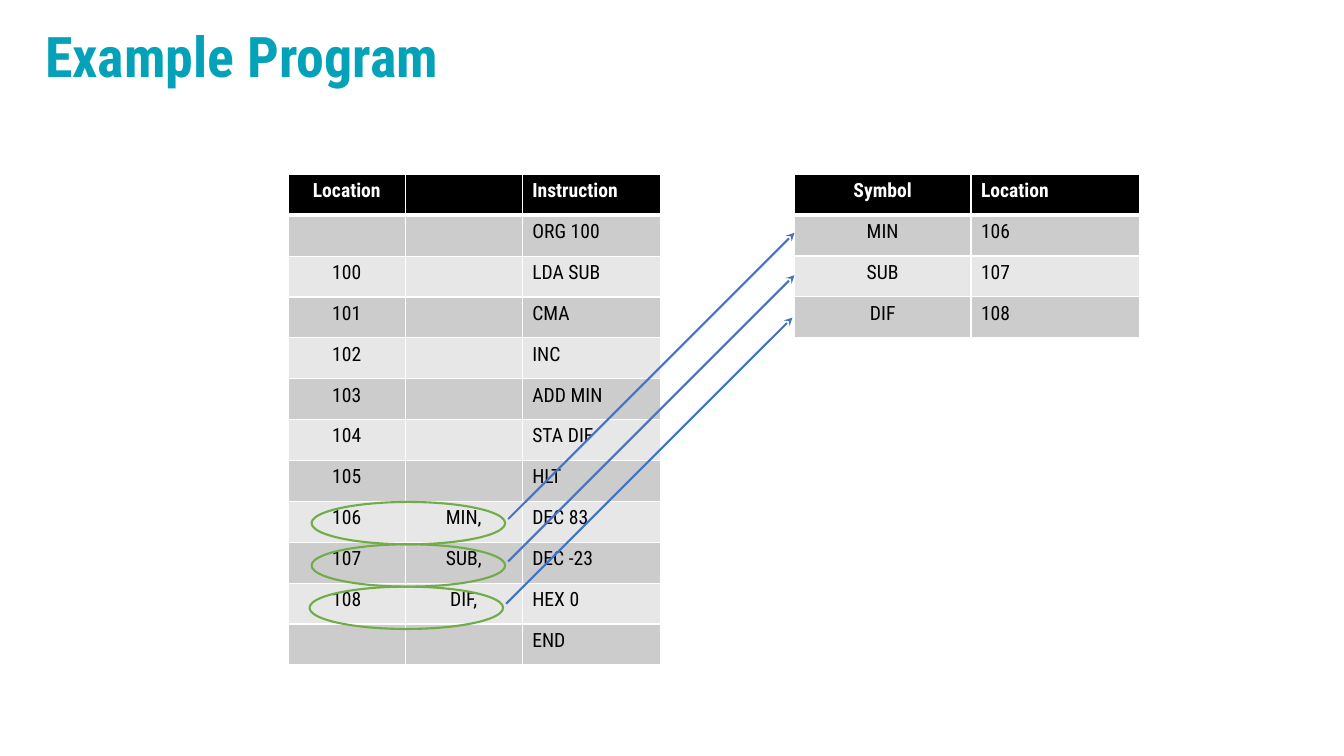
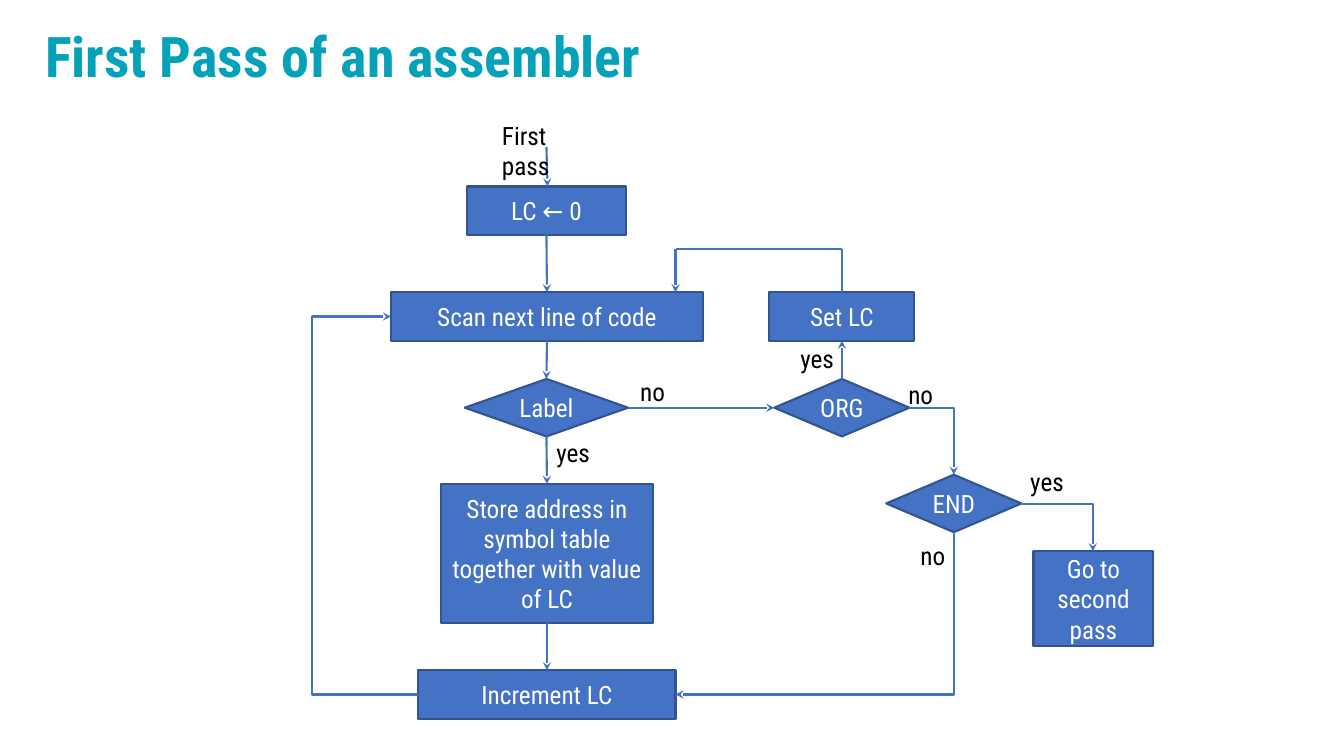
from typing import NamedTuple

from lxml import etree
from pptx import Presentation
from pptx.dml.color import RGBColor
from pptx.enum.shapes import MSO_CONNECTOR, MSO_SHAPE
from pptx.enum.text import MSO_ANCHOR, PP_ALIGN
from pptx.oxml.ns import qn
from pptx.util import Emu, Pt

RECT = MSO_SHAPE.RECTANGLE
DECISION = MSO_SHAPE.FLOWCHART_DECISION
OVAL = MSO_SHAPE.OVAL
STRAIGHT = MSO_CONNECTOR.STRAIGHT
ELBOW = MSO_CONNECTOR.ELBOW
LEFT = PP_ALIGN.LEFT
CENTER = PP_ALIGN.CENTER
TOP = MSO_ANCHOR.TOP
MIDDLE = MSO_ANCHOR.MIDDLE

TEAL = RGBColor(0x04, 0xA2, 0xB9)
BLUE = RGBColor(0x44, 0x72, 0xC4)
NAVY = RGBColor(0x32, 0x54, 0x91)
GREEN = RGBColor(0x70, 0xAD, 0x47)
BLACK = RGBColor(0, 0, 0)
WHITE = RGBColor(0xFF, 0xFF, 0xFF)
BANDS = RGBColor(0xCC, 0xCC, 0xCC), RGBColor(0xE7, 0xE7, 0xE7)

FONT = "Roboto Condensed"
EMU_PER_PX = 9144
LINE_WIDTH = Pt(1.5)
SITE_TOP, SITE_LEFT, SITE_BOTTOM, SITE_RIGHT = range(4)


class Box(NamedTuple):
    left: int
    top: int
    width: int
    height: int


class Point(NamedTuple):
    x: int
    y: int


class Step(NamedTuple):
    text: str
    box: Box
    outline: int = RECT


class Flow(NamedTuple):
    source: str
    source_site: int
    target: str
    target_site: int


class Bend(NamedTuple):
    start: Point
    end: Point
    preset: str = "bentConnector2"
    quarter_turn: bool = False
    adjust: int | None = None


class Label(NamedTuple):
    text: str
    box: Box
    wrap: bool = False


PROGRAM = [
    ("Location", "", "Instruction"),
    ("", "", "ORG 100"),
    ("100", "", "LDA SUB"),
    ("101", "", "CMA"),
    ("102", "", "INC"),
    ("103", "", "ADD MIN"),
    ("104", "", "STA DIF"),
    ("105", "", "HLT"),
    ("106", "MIN,", "DEC 83"),
    ("107", "SUB,", "DEC -23"),
    ("108", "DIF,", "HEX 0"),
    ("", "", "END"),
]
SYMBOLS = [
    ("Symbol", "Location"),
    ("MIN", "106"),
    ("SUB", "107"),
    ("DIF", "108"),
]
SYMBOL_PITCH = 42
SYMBOL_SHIFTS = (0, 0, -2)

STEPS = [
    Step("LC ← 0", Box(463, 185, 158, 48)),
    Step("Scan next line of code", Box(388, 290, 309, 48)),
    Step("Label", Box(461, 376, 162, 57), DECISION),
    Step("Store address in symbol table together with value of LC", Box(437, 480, 211, 138)),
    Step("Increment LC", Box(415, 665, 255, 48)),
    Step("Set LC", Box(763, 290, 144, 48)),
    Step("ORG", Box(768, 376, 134, 57), DECISION),
    Step("END", Box(879, 471, 134, 57), DECISION),
    Step("Go to second pass", Box(1025, 547, 119, 94)),
]
MAIN_COLUMN = [step.text for step in STEPS[:5]]
FLOWS = [
    *(Flow(a, SITE_BOTTOM, b, SITE_TOP) for a, b in zip(MAIN_COLUMN, MAIN_COLUMN[1:])),
    Flow("Label", SITE_RIGHT, "ORG", SITE_LEFT),
    Flow("ORG", SITE_TOP, "Set LC", SITE_BOTTOM),
]
BENDS = [
    Bend(Point(902, 405), Point(946, 471)),
    Bend(Point(1013, 500), Point(1084, 547)),
    Bend(Point(946, 528), Point(670, 689), quarter_turn=True),
    Bend(Point(415, 689), Point(388, 314), "bentConnector3", adjust=391700),
]
ENTRY = [Point(542, 146), Point(543, 185)]
RESCAN = [Point(835, 290), Point(835, 247), Point(670, 247), Point(670, 290)]
LABELS = [
    Label("First pass", Box(488, 114, 111, 40), wrap=True),
    Label("no", Box(625, 368, 45, 40)),
    Label("no", Box(891, 371, 45, 40)),
    Label("no", Box(903, 531, 45, 40)),
    Label("yes", Box(542, 429, 54, 40)),
    Label("yes", Box(784, 336, 54, 40)),
    Label("yes", Box(1012, 458, 54, 40)),
]


def px(value: float) -> Emu:
    return Emu(round(value * EMU_PER_PX))


def emu(lengths: tuple) -> list[Emu]:
    return [px(length) for length in lengths]


def write(frame, text: str, *, size: int = 18, color: RGBColor = BLACK, bold: bool = False,
          align: int = LEFT, anchor: int = TOP, wrap: bool = True,
          spacing: float | None = None) -> None:
    frame.word_wrap = wrap
    frame.vertical_anchor = anchor
    paragraph = frame.paragraphs[0]
    paragraph.alignment = align
    paragraph.line_spacing = spacing
    run = paragraph.add_run()
    run.text = text
    run.font.name = FONT
    run.font.size = Pt(size)
    run.font.bold = bold
    run.font.color.rgb = color


def add_titled_slide(deck, title: str):
    slide = deck.slides.add_slide(deck.slide_layouts[6])
    heading = slide.shapes.add_textbox(*emu(Box(35, 14, 1010, 89)))
    write(heading.text_frame, title, size=40, color=TEAL, bold=True, anchor=MIDDLE, spacing=0.9)
    return slide


def set_borders(cell, top: int, bottom: int) -> None:
    properties = cell._tc.get_or_add_tcPr()
    for side, points in (("L", 1), ("R", 1), ("T", top), ("B", bottom)):
        border = etree.SubElement(properties, qn(f"a:ln{side}"), w=str(Pt(points)))
        fill = etree.SubElement(border, qn("a:solidFill"))
        etree.SubElement(fill, qn("a:srgbClr"), val=str(WHITE))


def add_grid(slide, rows: list[tuple], box: Box, widths: tuple) -> None:
    table = slide.shapes.add_table(len(rows), len(widths), *emu(box)).table
    for column, width in zip(table.columns, widths):
        column.width = px(width)
    for r, row in enumerate(rows):
        header = r == 0
        for c, text in enumerate(row):
            cell = table.cell(r, c)
            set_borders(cell, top=3 if r == 1 else 1, bottom=3 if header else 1)
            cell.fill.solid()
            cell.fill.fore_color.rgb = BLACK if header else BANDS[(r - 1) % 2]
            write(cell.text_frame, text, size=14, bold=header,
                  color=WHITE if header else BLACK,
                  align=LEFT if c == len(row) - 1 else CENTER)


def add_outline(slide, outline: int, box: Box, line: RGBColor, fill: RGBColor | None = None):
    shape = slide.shapes.add_shape(outline, *emu(box))
    shape.shadow.inherit = False
    if fill is None:
        shape.fill.background()
    else:
        shape.fill.solid()
        shape.fill.fore_color.rgb = fill
    shape.line.color.rgb = line
    shape.line.width = LINE_WIDTH
    return shape


def add_line(slide, start: Point, end: Point, *, kind: int = STRAIGHT, arrow: bool = True):
    line = slide.shapes.add_connector(kind, *emu(start), *emu(end))
    line.line.color.rgb = BLUE
    line.line.width = LINE_WIDTH
    if arrow:
        etree.SubElement(line.line._get_or_add_ln(), qn("a:tailEnd"), type="stealth")
    etree.SubElement(line._element.spPr, qn("a:effectLst"))
    return line


def add_bend(slide, bend: Bend) -> None:
    start, end = bend.start, bend.end
    if bend.quarter_turn:
        middle_x, middle_y = (start.x + end.x) / 2, (start.y + end.y) / 2
        half_width, half_height = abs(end.y - start.y) / 2, abs(end.x - start.x) / 2
        start = Point(middle_x - half_width, middle_y - half_height)
        end = Point(middle_x + half_width, middle_y + half_height)
    line = add_line(slide, start, end, kind=ELBOW)
    properties = line._element.spPr
    if bend.quarter_turn:
        properties.find(qn("a:xfrm")).set("rot", str(90 * 60000))
    geometry = properties.find(qn("a:prstGeom"))
    geometry.set("prst", bend.preset)
    if bend.adjust is not None:
        etree.SubElement(geometry.find(qn("a:avLst")), qn("a:gd"),
                         name="adj1", fmla=f"val {bend.adjust}")


def add_route(slide, points: list[Point]) -> None:
    for i, (start, end) in enumerate(zip(points, points[1:])):
        add_line(slide, start, end, arrow=i == len(points) - 2)


def build_program(deck) -> None:
    slide = add_titled_slide(deck, "Example Program")
    add_grid(slide, PROGRAM, Box(286, 173, 369, 487), (116, 116, 137))
    add_grid(slide, SYMBOLS, Box(788, 173, 342, 162), (175, 167))
    for i, shift in enumerate(SYMBOL_SHIFTS):
        drop = i * SYMBOL_PITCH
        add_outline(slide, OVAL, Box(309 + shift, 498 + drop, 192, 42), GREEN)
        add_line(slide, Point(504 + shift, 515 + drop), Point(788 + shift, 231 + drop))


def build_first_pass(deck) -> None:
    slide = add_titled_slide(deck, "First Pass of an assembler")
    steps = {}
    for step in STEPS:
        shape = add_outline(slide, step.outline, step.box, NAVY, BLUE)
        write(shape.text_frame, step.text, color=WHITE, align=CENTER, anchor=MIDDLE)
        steps[step.text] = shape
    for flow in FLOWS:
        line = add_line(slide, Point(0, 0), Point(0, 0))
        line.begin_connect(steps[flow.source], flow.source_site)
        line.end_connect(steps[flow.target], flow.target_site)
    for bend in BENDS:
        add_bend(slide, bend)
    for points in (ENTRY, RESCAN):
        add_route(slide, points)
    for label in LABELS:
        note = slide.shapes.add_textbox(*emu(label.box))
        write(note.text_frame, label.text, wrap=label.wrap)


def main() -> None:
    deck = Presentation()
    deck.slide_width, deck.slide_height = emu((1333, 750))
    build_program(deck)
    build_first_pass(deck)
    deck.save("out.pptx")


if __name__ == "__main__":
    main()
